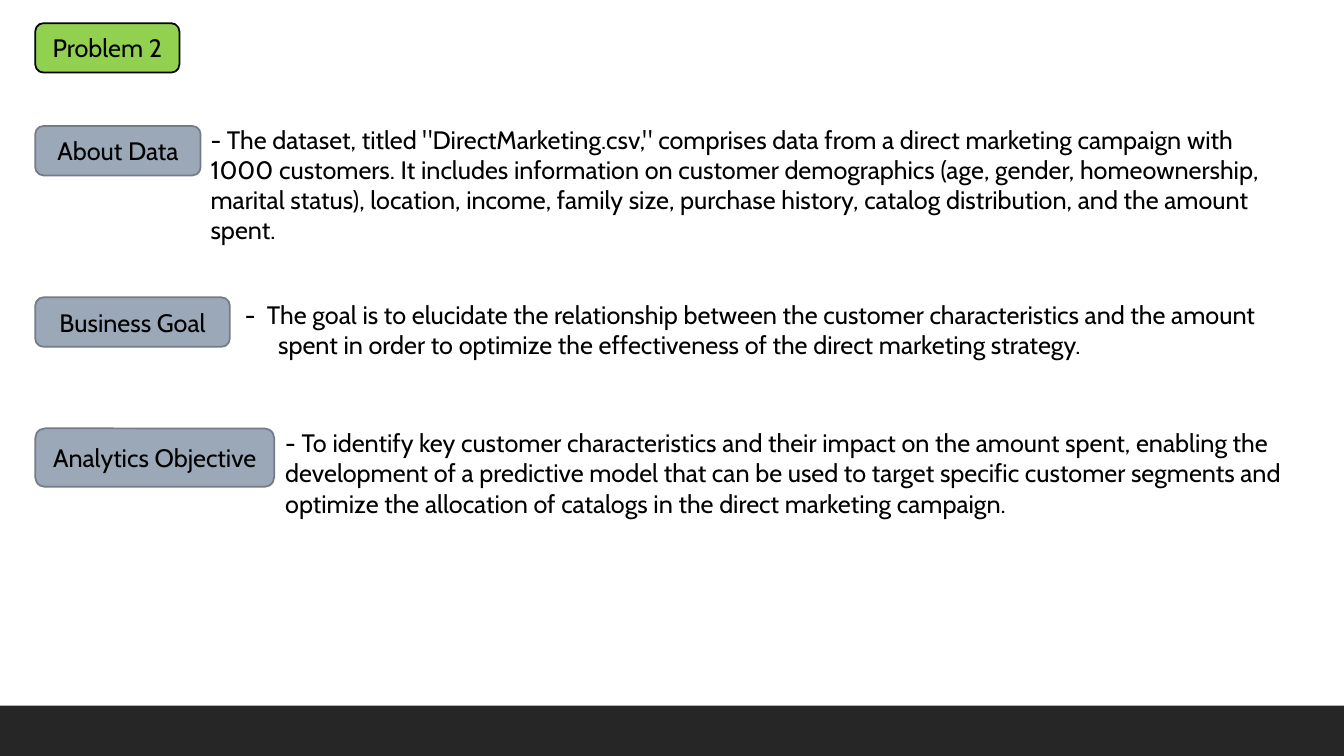
from pptx import Presentation
from pptx.dml.color import RGBColor
from pptx.enum.shapes import MSO_SHAPE
from pptx.enum.text import MSO_ANCHOR, PP_ALIGN
from pptx.util import Inches, Pt

RECT, ROUNDED = MSO_SHAPE.RECTANGLE, MSO_SHAPE.ROUNDED_RECTANGLE
MIDDLE, CENTER = MSO_ANCHOR.MIDDLE, PP_ALIGN.CENTER

FONT, SIZE = "Cabin", 18
BLACK, DARK = "000000", "262626"
GREEN, GREY, GREY_EDGE = "92D050", "9BA8B7", "737C87"
WIDTH, HEIGHT, FOOTER = 13.33, 7.5, 0.5
LEFT, TEXT_RIGHT = 0.35, 12.98

LABELS = [
    ("Problem 2", 0.23, 1.43, 0.49, GREEN, BLACK),
    ("About Data", 1.25, 1.64, 0.49, GREY, GREY_EDGE),
    ("Business Goal", 2.95, 1.93, 0.49, GREY, GREY_EDGE),
    ("Analytics Objective", 4.25, 2.37, 0.58, GREY, GREY_EDGE),
]
TEXTS = [
    ('- The dataset, titled "DirectMarketing.csv," comprises data from a direct marketing '
     'campaign with 1000 customers. It includes information on customer demographics '
     '(age, gender, homeownership, marital status), location, income, family size, '
     'purchase history, catalog distribution, and the amount spent.',
     1.99, 1.18, 1.31, 0),
    ("-  The goal is to elucidate the relationship between the customer characteristics "
     "and the amount spent in order to optimize the effectiveness of the direct "
     "marketing strategy.",
     2.33, 2.92, 0.71, 0.33),
    ("- To identify key customer characteristics and their impact on the amount spent, "
     "enabling the development of a predictive model that can be used to target specific "
     "customer segments and optimize the allocation of catalogs in the direct marketing "
     "campaign.",
     2.73, 4.19, 1.01, 0),
]


def color(value):
    return RGBColor.from_string(value)


def add_box(s, kind, x, y, w, h, fill, line=None):
    sp = s.shapes.add_shape(kind, Inches(x), Inches(y), Inches(w), Inches(h))
    sp.shadow.inherit = False
    sp.fill.solid()
    sp.fill.fore_color.rgb = color(fill)
    if line:
        sp.line.color.rgb = color(line)
        sp.line.width = Pt(1.25)
    else:
        sp.line.fill.background()
    return sp


def write(tf, text):
    tf.word_wrap = True
    p = tf.paragraphs[0]
    p.text = text
    p.font.name = FONT
    p.font.size = Pt(SIZE)
    p.font.color.rgb = color(BLACK)
    return p


def add_label(s, text, y, w, h, fill, line):
    tf = add_box(s, ROUNDED, LEFT, y, w, h, fill, line).text_frame
    tf.vertical_anchor = MIDDLE
    write(tf, text).alignment = CENTER


def add_text(s, text, x, y, h, hanging):
    sp = s.shapes.add_textbox(Inches(x), Inches(y), Inches(TEXT_RIGHT - x), Inches(h))
    p = write(sp.text_frame, text)
    if hanging:
        pPr = p._p.get_or_add_pPr()
        pPr.set("marL", str(Inches(hanging)))
        pPr.set("indent", str(-Inches(hanging)))


def main():
    prs = Presentation()
    prs.slide_width, prs.slide_height = Inches(WIDTH), Inches(HEIGHT)
    s = prs.slides.add_slide(prs.slide_layouts[6])
    add_box(s, RECT, 0, HEIGHT - FOOTER, WIDTH, FOOTER, DARK)
    for label in LABELS:
        add_label(s, *label)
    for text in TEXTS:
        add_text(s, *text)
    prs.save("out.pptx")


if __name__ == "__main__":
    main()
